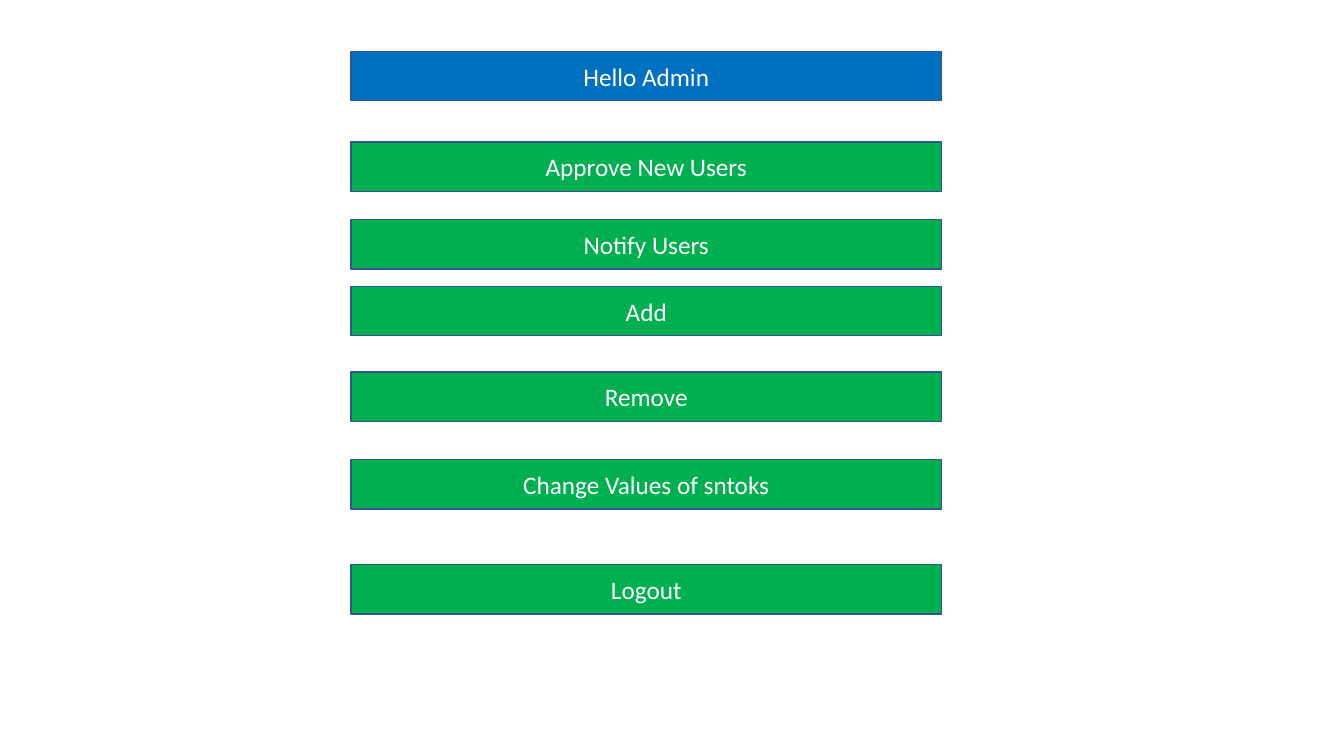
import pptx
import pptx.dml.color
import pptx.enum.shapes
import pptx.enum.text
import pptx.util

Inches = pptx.util.Inches


def color(value):
    return pptx.dml.color.RGBColor.from_string(value)


class MenuSlide:
    font = "Calibri"
    size = 18
    text_color = "FFFFFF"
    line_color = "325491"
    left, width, height = 3.48, 5.86, 0.49

    def __init__(self, prs):
        self.s = prs.slides.add_slide(prs.slide_layouts[6])

    def bar(self, text, top, fill):
        sp = self.s.shapes.add_shape(
            pptx.enum.shapes.MSO_SHAPE.RECTANGLE,
            Inches(self.left), Inches(top), Inches(self.width), Inches(self.height))
        sp.shadow.inherit = False
        sp.fill.solid()
        sp.fill.fore_color.rgb = color(fill)
        sp.line.color.rgb = color(self.line_color)
        sp.line.width = pptx.util.Pt(1)
        tf = sp.text_frame
        tf.text = text
        tf.word_wrap = True
        tf.vertical_anchor = pptx.enum.text.MSO_ANCHOR.MIDDLE
        p = tf.paragraphs[0]
        p.alignment = pptx.enum.text.PP_ALIGN.CENTER
        r = p.runs[0]
        r.font.name = self.font
        r.font.size = pptx.util.Pt(self.size)
        r.font.color.rgb = color(self.text_color)


HEADER_FILL = "0070C0"
BUTTON_FILL = "00B050"
BUTTONS = [
    ("Approve New Users", 1.41),
    ("Notify Users", 2.18),
    ("Add", 2.84),
    ("Remove", 3.69),
    ("Change Values of sntoks", 4.56),
    ("Logout", 5.6),
]

prs = pptx.Presentation()
prs.slide_width = Inches(13.33)
prs.slide_height = Inches(7.5)

menu = MenuSlide(prs)
menu.bar("Hello Admin", 0.51, HEADER_FILL)
for label, top in BUTTONS:
    menu.bar(label, top, BUTTON_FILL)

prs.save("out.pptx")
